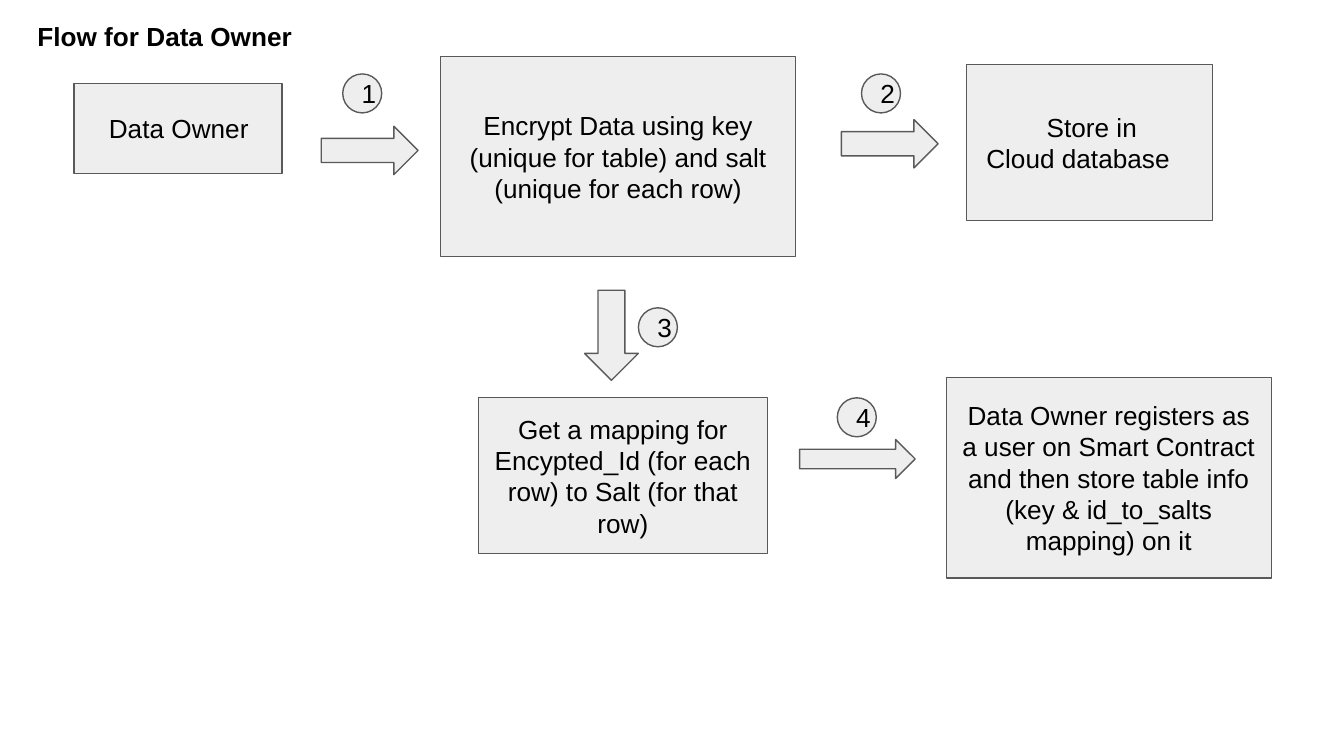
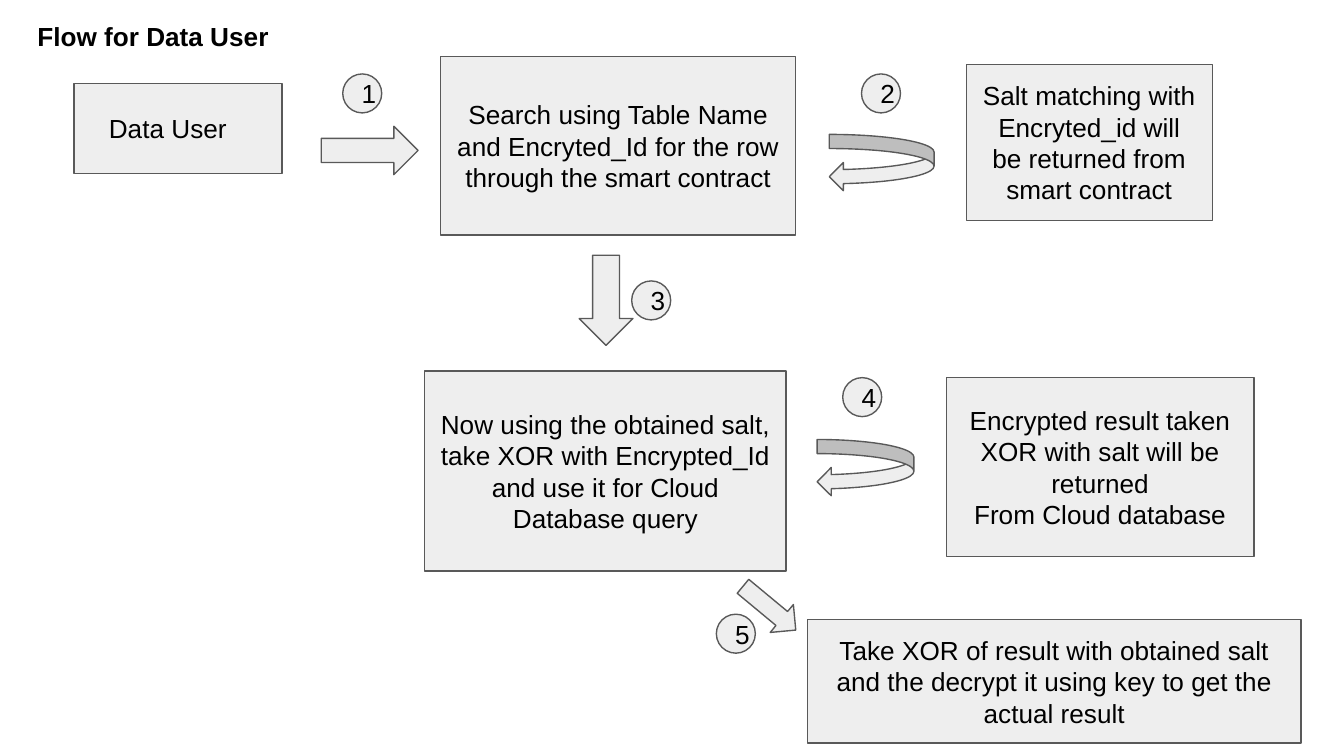
from pptx import Presentation
from pptx import util as u
from pptx.dml.color import RGBColor
from pptx.enum import shapes, text

COLORS = {"page": "FFFFFF", "fill": "EEEEEE", "line": "595959", "text": "000000"}
FONT = {"name": "Arial", "size": u.Pt(14)}
CELL = u.Inches(0.1)
COLS, ROWS = 100, 56.25
BADGE = 2.9
M = shapes.MSO_SHAPE
A = text.PP_ALIGN
RIGHT, DOWN, BACK = M.RIGHT_ARROW, M.DOWN_ARROW, M.CURVED_LEFT_ARROW


def grid(*cells):
    return [round(c * CELL) for c in cells]


def rgb(name):
    return RGBColor.from_string(COLORS[name])


def write(sp, lines, align=A.LEFT, bold=False, inset=1, indent=None):
    tf = sp.text_frame
    frame = {"word_wrap": True, "margin_left": round(inset * CELL),
             "margin_right": CELL, "margin_top": CELL, "margin_bottom": CELL}
    for key, value in frame.items():
        setattr(tf, key, value)
    for i, line in enumerate(lines.split("\n")):
        p = tf.paragraphs[0] if i == 0 else tf.add_paragraph()
        p.text = line
        p.alignment = align
        if indent:
            pPr = p._p.get_or_add_pPr()
            for key, value in zip(("marL", "indent"), grid(*indent)):
                pPr.set(key, str(value))
        for r in p.runs:
            for key, value in {**FONT, "bold": bold}.items():
                setattr(r.font, key, value)
            r.font.color.rgb = rgb("text")
    return tf


def outlined(s, kind, box, turn=0):
    sp = s.shapes.add_shape(kind, *grid(*box))
    sp.shadow.inherit = False
    sp.fill.solid()
    sp.fill.fore_color.rgb = rgb("fill")
    sp.line.color.rgb = rgb("line")
    sp.line.width = u.Pt(0.75)
    sp.rotation = turn
    return sp


def title(s, box, words):
    tf = write(s.shapes.add_textbox(*grid(*box)), words, bold=True)
    tf.auto_size = text.MSO_AUTO_SIZE.SHAPE_TO_FIT_TEXT


def card(s, box, words, align=A.CENTER, **layout):
    tf = write(outlined(s, M.RECTANGLE, box), words, align, **layout)
    tf.vertical_anchor = text.MSO_ANCHOR.MIDDLE


def step(s, box, number, kind, offset, turn=0):
    outlined(s, kind, box, turn)
    x, y = box[0] + offset[0], box[1] + offset[1]
    tf = write(outlined(s, M.OVAL, (x, y, BADGE, BADGE)), str(number))
    tf.vertical_anchor = text.MSO_ANCHOR.MIDDLE


def flow(prs, role, title_width, cards, steps):
    s = prs.slides.add_slide(prs.slide_layouts[6])
    s.background.fill.solid()
    s.background.fill.fore_color.rgb = rgb("page")
    title(s, (1.8, 0.5, title_width, 4.4), f"Flow for {role}")
    card(s, (5.5, 6.2, 15.5, 6.7), role, A.LEFT, inset=2.6)
    for box, words, layout in cards:
        card(s, box, words, **layout)
    first = ((23.9, 9.4, 7.2, 3.6), RIGHT, (1.6, -3.9))
    for number, (box, *look) in enumerate([first, *steps], 1):
        step(s, box, number, *look)


prs = Presentation()
prs.slide_width, prs.slide_height = grid(COLS, ROWS)

flow(prs, "Data Owner", 21.5, [
    ((32.8, 4.2, 26.4, 14.9),
     "Encrypt Data using key (unique for table) and salt (unique for each row)", {}),
    ((71.9, 4.8, 18.3, 11.6), "Store in\vCloud database",
     {"align": A.LEFT, "indent": (0.5, 4.5)}),
    ((35.6, 29.6, 21.5, 11.6),
     "Get a mapping for Encypted_Id (for each row) to Salt (for that row)", {}),
    ((70.4, 28.1, 24.2, 14.9),
     "Data Owner registers as a user on Smart Contract and then store table info\n"
     "(key & id_to_salts mapping) on it", {}),
], [
    ((62.6, 8.9, 7.2, 3.6), RIGHT, (1.5, -3.4)),
    ((43.5, 21.6, 4, 6.7), DOWN, (4, 1.3)),
    ((59.5, 32.7, 8.6, 2.9), RIGHT, (2.8, -3.1)),
])

flow(prs, "Data User", 20, [
    ((32.8, 4.2, 26.4, 13.3),
     "Search using Table Name and Encryted_Id for the row\n"
     "through the smart contract", {}),
    ((71.9, 4.8, 18.3, 11.6),
     "Salt matching with\vEncryted_id will\vbe returned from\vsmart contract", {}),
    ((31.6, 27.6, 26.9, 14.9),
     "Now using the obtained salt, take XOR with Encrypted_Id "
     "and use it for Cloud Database query", {}),
    ((70.4, 28.1, 22.9, 13.3),
     "Encrypted result taken XOR with salt will be returned\n"
     "From Cloud database", {}),
    ((60.1, 46.1, 36.7, 9.2),
     "Take XOR of result with obtained salt and the decrypt it "
     "using key to get the actual result", {}),
], [
    ((61.7, 10, 7.8, 4.2), BACK, (2.4, -4.5)),
    ((43.1, 19, 4, 6.7), DOWN, (3.9, 1.9)),
    ((60.8, 32.7, 7.2, 4.2), BACK, (1.9, -4.6)),
    ((55.9, 42.7, 2.7, 5.1), DOWN, (-2.6, 3), 309.7),
])

prs.save("out.pptx")
